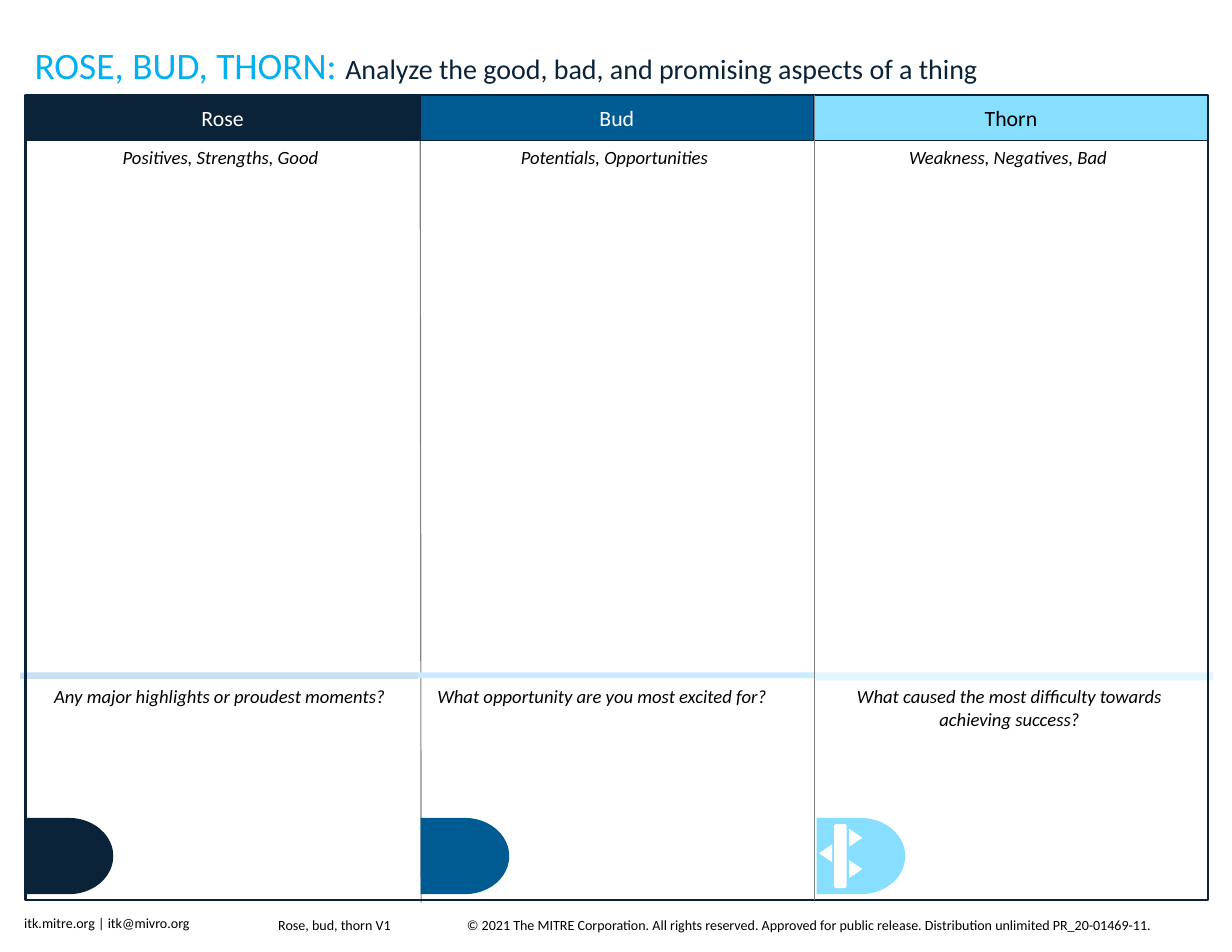
from dataclasses import dataclass

from pptx import Presentation
from pptx.dml.color import RGBColor
from pptx.enum.shapes import MSO_CONNECTOR, MSO_SHAPE as SHAPE
from pptx.enum.text import MSO_ANCHOR, MSO_AUTO_SIZE, PP_ALIGN
from pptx.oxml.ns import qn
from pptx.util import Cm, Pt
from lxml import etree

NAVY = RGBColor(0x0B, 0x23, 0x38)
BLUE = RGBColor(0x00, 0x5B, 0x93)
SKY = RGBColor(0x87, 0xDE, 0xFF)
CYAN = RGBColor(0x00, 0xB0, 0xF0)
PALE_NAVY = RGBColor(0xC8, 0xDF, 0xF4)
PALE_BLUE = RGBColor(0xC9, 0xEA, 0xFF)
PALE_SKY = RGBColor(0xE1, 0xF6, 0xFF)
GREY = RGBColor(0x7E, 0x82, 0x84)
WHITE = RGBColor(0xFF, 0xFF, 0xFF)
BLACK = RGBColor(0, 0, 0)


@dataclass
class Column:
    name: str
    prompt: str
    question: str
    question_left: float
    fill: RGBColor
    text: RGBColor
    strip: RGBColor
    strip_height: float


COLUMNS = [
    Column("Rose", "Positives, Strengths, Good",
           "Any major highlights or proudest moments?",
           0.58, NAVY, WHITE, PALE_NAVY, 0.15),
    Column("Bud", "Potentials, Opportunities",
           "What opportunity are you most excited for?",
           9.25, BLUE, WHITE, PALE_BLUE, 0.13),
    Column("Thorn", "Weakness, Negatives, Bad",
           "What caused the most difficulty towards achieving success?",
           18.49, SKY, BLACK, PALE_SKY, 0.18),
]
# left, top, width, height, text, alignment
FOOTERS = [
    (0.3, 20.62, 4.37, 0.64, "itk.mitre.org | itk@mivro.org", PP_ALIGN.LEFT),
    (10.34, 20.65, 16.2, 0.64,
     "© 2021 The MITRE Corporation. All rights reserved. Approved for public "
     "release. Distribution unlimited PR_20-01469-11.", PP_ALIGN.LEFT),
    (5.92, 20.65, 3.33, 0.64, "Rose, bud, thorn V1", PP_ALIGN.CENTER),
]


class Canvas:
    font = "Calibri"

    def __init__(self, slide):
        self.slide = slide

    def run(self, p, text, color=BLACK, **format_values):
        r = p.add_run()
        r.text = text
        for key, value in {"name": self.font, **format_values}.items():
            setattr(r.font, key, value)
        r.font.color.rgb = color

    def title(self, box, runs):
        sp = self.slide.shapes.title
        for key, value in zip(("left", "top", "width", "height"), box):
            setattr(sp, key, Cm(value))
        tf = sp.text_frame
        tf.vertical_anchor = MSO_ANCHOR.TOP
        tf.auto_size = MSO_AUTO_SIZE.SHAPE_TO_FIT_TEXT
        p = tf.paragraphs[0]
        p.alignment = PP_ALIGN.LEFT
        for text, size, color in runs:
            self.run(p, text, color, size=Pt(size))

    def shape(self, kind, box, fill=None, line=None, weight=1, rotation=0,
              parent=None):
        shapes = (parent or self.slide).shapes
        sp = shapes.add_shape(kind, *map(Cm, box))
        sp.shadow.inherit = False
        sp.rotation = rotation
        if fill is None:
            sp.fill.background()
        else:
            sp.fill.solid()
            sp.fill.fore_color.rgb = fill
        if line is None:
            sp.line.fill.background()
        else:
            sp.line.color.rgb = line
            sp.line.width = Pt(weight)
        return sp

    def header(self, box, text, fill, color):
        sp = self.shape(SHAPE.RECTANGLE, box, fill, NAVY)
        tf = sp.text_frame
        tf.vertical_anchor = MSO_ANCHOR.MIDDLE
        p = tf.paragraphs[0]
        p.alignment = PP_ALIGN.CENTER
        self.run(p, text, color, size=Pt(14))

    def text(self, box, text, align=PP_ALIGN.CENTER, wrap=True,
             **format_values):
        tf = self.slide.shapes.add_textbox(*map(Cm, box)).text_frame
        tf.word_wrap = wrap
        tf.auto_size = MSO_AUTO_SIZE.SHAPE_TO_FIT_TEXT
        p = tf.paragraphs[0]
        p.alignment = align
        self.run(p, text, **format_values)

    def line(self, *ends):
        cn = self.slide.shapes.add_connector(MSO_CONNECTOR.STRAIGHT,
                                             *map(Cm, ends))
        cn.line.color.rgb = GREY
        cn.line.width = Pt(0.75)
        etree.SubElement(cn._element.spPr, qn("a:effectLst"))

    def thorn_icon(self):
        group = self.slide.shapes.add_group_shape()
        self.shape(SHAPE.ROUNDED_RECTANGLE, (18.92, 18.69, 0.28, 1.45), WHITE,
                   parent=group)
        for left, top, rotation in ((19.2, 18.85, 90), (18.52, 19.2, 270),
                                    (19.2, 19.56, 90)):
            self.shape(SHAPE.ISOSCELES_TRIANGLE, (left, top, 0.41, 0.3), WHITE,
                       rotation=rotation, parent=group)


def main():
    prs = Presentation()
    prs.slide_width, prs.slide_height = Cm(27.94), Cm(21.59)
    canvas = Canvas(prs.slides.add_slide(prs.slide_layouts[5]))

    canvas.title((0.53, 0.84, 23.34, 1.27), [
        ("ROSE, BUD, THORN: ", 24, CYAN),
        ("Analyze the good, bad, and promising aspects of a thing", 18, NAVY),
    ])
    canvas.line(9.53, 3.18, 9.55, 20.47)
    for i, col in enumerate(COLUMNS):
        canvas.shape(SHAPE.RECTANGLE,
                     (0.46 + 9.02 * i, 15.25, 9.02, col.strip_height),
                     col.strip)
        canvas.header((0.58 + 8.94 * i, 2.17, 8.94, 1.02),
                      col.name, col.fill, col.text)
    canvas.shape(SHAPE.RECTANGLE, (0.58, 2.16, 26.82, 18.26),
                 line=NAVY, weight=1.5)

    italic = {"size": Pt(12), "italic": True}
    for i, col in enumerate(COLUMNS):
        canvas.text((0.51 + 8.93 * i, 3.18, 8.99, 0.76), col.prompt, **italic)
        canvas.text((col.question_left, 15.41, 8.81, 0.76), col.question,
                    **italic)
        canvas.shape(SHAPE.FLOWCHART_DELAY,
                     (0.56 + 8.98 * i, 18.55, 2.01, 1.73), col.fill)
    canvas.thorn_icon()
    canvas.line(18.47, 2.16, 18.47, 20.42)

    for *box, text, align in FOOTERS:
        canvas.text(box, text, align, wrap=False, size=Pt(9))

    prs.save("out.pptx")


if __name__ == "__main__":
    main()
